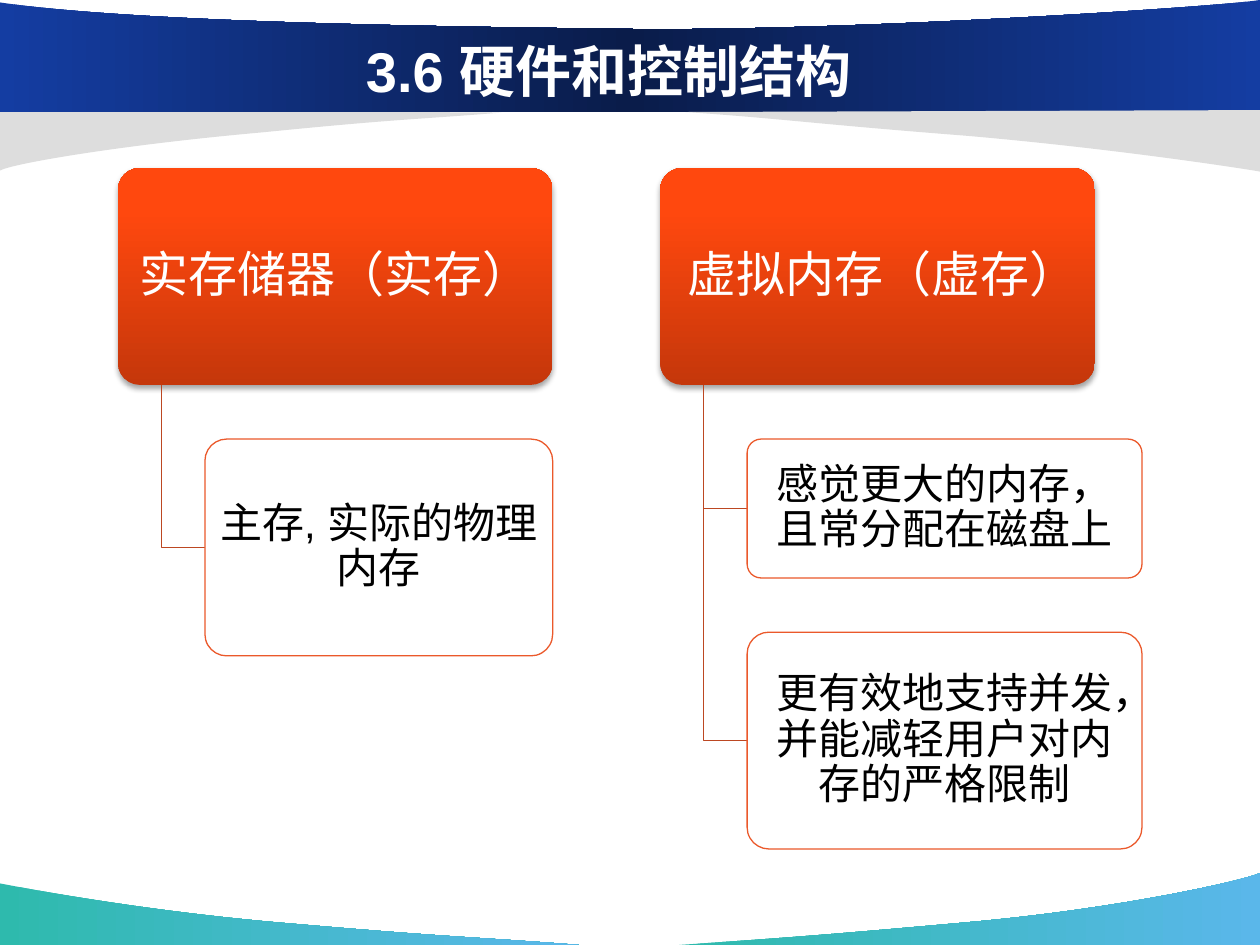
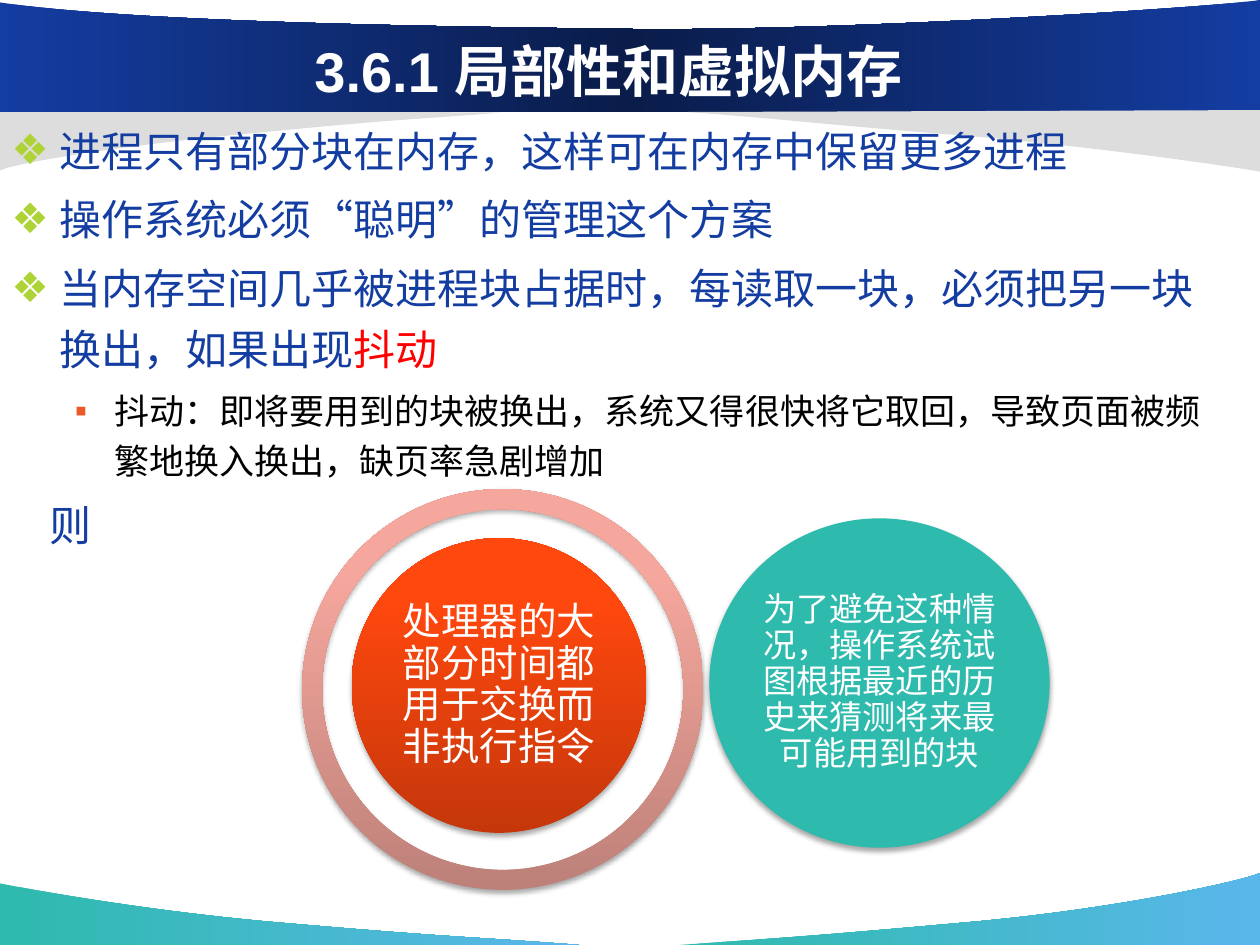
from lxml.etree import SubElement
from pptx import Presentation
from pptx.dml.color import RGBColor
from pptx.enum.shapes import MSO_SHAPE
from pptx.enum.text import MSO_ANCHOR, PP_ALIGN
from pptx.oxml.ns import qn
from pptx.util import Cm, Pt

WIDTH, HEIGHT = 25.4, 19.05
LATIN, CHINESE = "Arial", "Noto Sans CJK SC"
WHITE, BLACK, RED, GREY = "FFFFFF", "000000", "FF0000", "DDDDDD"
NAVY, TEAL, LIME, ORANGE, RUST = "143DA2", "2EBAAD", "AED337", "EB592B", "BC4722"
BANNER = [(0, NAVY), (50, "0A1C4A"), (100, NAVY)]
FOOTER = [(0, TEAL), (100, "5AB7EA")]
GLOSS = [(0, "C5370B"), (80, "FF480E"), (100, "FF4910")]
PALE_GLOSS = [(0, "BD8179"), (80, "F6A79D"), (100, "F9A79D")]

BANDS = [
    (FOOTER, [(11.68, 19.05), (9.75, 18.9), (9.09, 18.9), (5.89, 18.62),
              (2.69, 18.36), (0.03, 17.81), (0, 17.81)], [(0, HEIGHT)]),
    (FOOTER, [(13.69, 19.05), (15.6, 18.92), (16.41, 18.87), (19.53, 18.59),
              (22.66, 18.31), (25.15, 17.73), (WIDTH, 17.6)], [(WIDTH, HEIGHT)]),
    (GREY, [(10.11, 2.27), (8.41, 2.41), (8.08, 2.39), (5.28, 2.67),
            (2.46, 2.92), (0.23, 3.3), (0, 3.44)], [(0, 2.21)]),
    (BANNER, [(WIDTH, 0), (24.49, 0.15), (16.59, 0.66), (12.37, 0.58),
              (8.15, 0.53), (2.57, 0.43), (0, 0.05)], [(0, 2.26), (WIDTH, 2.26)]),
    (GREY, [(13.82, 2.26), (15.75, 2.39), (16.31, 2.49), (19.51, 2.74),
            (22.71, 3.02), (25.37, 3.45), (WIDTH, 3.46)], [(WIDTH, 2.22)]),
]

MEMORY_KINDS = [
    (2.38, "实存储器（实存）", 7.01, [("主存, 实际的物理内存", 4.37)]),
    (13.31, " 虚拟内存（虚存）", 7.96, [
        ("感觉更大的内存，且常分配在磁盘上", 2.8),
        ("更有效地支持并发，并能减轻用户对内存的严格限制", 4.37)]),
]

MAIN_POINT = {"size": 24, "color": NAVY, "bullet": ("❖", LIME), "indent": (0.97, -0.97)}
SUB_POINT = {"size": 20, "color": BLACK, "bullet": ("▪", ORANGE),
             "indent": (2.07, -0.79), "latin": CHINESE}
PLAIN_POINT = {"size": 24, "color": NAVY, "indent": (0.76, 0)}
LOCALITY_POINTS = [
    (MAIN_POINT, [("进程只有部分块在内存，这样可在内存中保留更多进程", NAVY)]),
    (MAIN_POINT, [("操作系统必须“聪明”的管理这个方案", NAVY)]),
    (MAIN_POINT, [("当内存空间几乎被进程块占据时，每读取一块，必须把另一块换出，如果出现", NAVY),
                  ("抖动", RED)]),
    (SUB_POINT, [("抖动：即将要用到的块被换出，系统又得很快将它取回，"
                  "导致页面被频繁地换入换出，缺页率急剧增加", BLACK)]),
    (PLAIN_POINT, [("则", NAVY)]),
]


def rgb(value):
    """Turn a hex string into a colour."""
    return RGBColor.from_string(value)


def set_all(target, values):
    """Set each attribute named in a dict of format values."""
    for name, value in values.items():
        setattr(target, name, value)


def place(left, top, width, height):
    """Return a frame given in centimetres as lengths."""
    return Cm(left), Cm(top), Cm(width), Cm(height)


def paint(shape, fill=None, angle=0, line=None):
    """Fill a shape with a colour or gradient stops and set its outline."""
    shape.shadow.inherit = False
    if isinstance(fill, str):
        shape.fill.solid()
        shape.fill.fore_color.rgb = rgb(fill)
    else:
        shape.fill.background()
    if isinstance(fill, list):
        properties = shape._element.spPr
        gradient = properties.makeelement(qn("a:gradFill"), {"rotWithShape": "1"})
        stops = SubElement(gradient, qn("a:gsLst"))
        for position, color in fill:
            stop = SubElement(stops, qn("a:gs"), pos=str(position * 1000))
            SubElement(stop, qn("a:srgbClr"), val=color)
        SubElement(gradient, qn("a:lin"), ang=str(angle * 60000), scaled="0")
        properties.replace(properties.find(qn("a:noFill")), gradient)
    if line:
        shape.line.color.rgb = rgb(line)
        shape.line.width = Pt(0.75)
    else:
        shape.line.fill.background()


def cast_shadow(shape):
    """Give a shape a soft shadow below it."""
    effects = shape._element.spPr.find(qn("a:effectLst"))
    shadow = SubElement(effects, qn("a:outerShdw"), blurRad=str(Pt(3.1)),
                        dist=str(Pt(1.8)), dir="5400000", rotWithShape="0")
    color = SubElement(shadow, qn("a:srgbClr"), val=BLACK)
    SubElement(color, qn("a:alpha"), val="35000")


def add_span(para, text, size, color, bold=False, latin=LATIN):
    """Add a run with its Latin and Chinese fonts."""
    span = para.add_run()
    span.text = text
    set_all(span.font, {"name": latin, "size": Pt(size), "bold": bold})
    span.font.color.rgb = rgb(color)
    properties = span._r.get_or_add_rPr()
    properties.set("lang", "zh-CN")
    properties.find(qn("a:latin")).addnext(
        properties.makeelement(qn("a:ea"), {"typeface": CHINESE}))


def set_frame(shape, anchor, side, end):
    """Wrap the text of a shape and set its anchor and margins."""
    set_all(shape.text_frame, {
        "word_wrap": True, "vertical_anchor": anchor,
        "margin_left": Cm(side), "margin_right": Cm(side),
        "margin_top": Cm(end), "margin_bottom": Cm(end)})
    return shape.text_frame


def add_label(shape, text, size, color, margin):
    """Write centred text in a shape."""
    para = set_frame(shape, MSO_ANCHOR.MIDDLE, margin, 0.08).paragraphs[0]
    set_all(para, {"alignment": PP_ALIGN.CENTER, "line_spacing": 0.9})
    add_span(para, text, size, color)


def add_outline(page, points, close):
    """Draw a freeform through points given in centimetres."""
    lengths = [(Cm(x), Cm(y)) for x, y in points]
    builder = page.shapes.build_freeform(*lengths[0])
    builder.add_line_segments(lengths[1:], close=close)
    return builder.convert_to_shape()


def add_band(page, fill, points, corners):
    """Draw a band edged by a chain of cubic curves and straight corners."""
    band = add_outline(page, points[::3] + corners, True)
    segments = list(band._element.iter(qn("a:lnTo")))
    for index, segment in enumerate(segments[:len(points) // 3]):
        segment.tag_name = None
        bend = segment.makeelement(qn("a:cubicBezTo"), {})
        for x, y in points[3 * index + 1:3 * index + 4]:
            SubElement(bend, qn("a:pt"), x=str(Cm(x) - band.left), y=str(Cm(y) - band.top))
        segment.getparent().replace(segment, bend)
    paint(band, fill)


def add_page(deck, title):
    """Add a page with its curved bands and title."""
    page = deck.slides.add_slide(deck.slide_layouts[6])
    for band in BANDS:
        add_band(page, *band)
    box = page.shapes.add_textbox(*place(2.33, 0.62, 19.89, 1.57))
    para = set_frame(box, MSO_ANCHOR.MIDDLE, 0.25, 0.13).paragraphs[0]
    para.alignment = PP_ALIGN.CENTER
    add_span(para, title, 32, WHITE, bold=True)
    return page


def add_card(page, frame, text, size, color, margin, fill, line=None):
    """Add a rounded card with a label."""
    card = page.shapes.add_shape(MSO_SHAPE.ROUNDED_RECTANGLE, *place(*frame))
    card.adjustments[0] = 0.1
    paint(card, fill, 270, line)
    add_label(card, text, size, color, margin)
    return card


def add_branch(page, left, heading, detail_width, details):
    """Add a heading card with its detail cards hanging below."""
    width, height, top = 8.76, 4.37, 3.39
    gap, stem, bottom = height / 4, left + width / 10, top + height
    detail_left, detail_top = left + width / 5, bottom + gap
    cast_shadow(add_card(page, (left, top, width, height), heading, 28, WHITE, 0.15, GLOSS))
    for text, detail_height in details:
        middle = detail_top + detail_height / 2
        link = add_outline(page, [(stem, bottom), (stem, middle), (detail_left, middle)], False)
        paint(link, line=RUST)
        add_card(page, (detail_left, detail_top, detail_width, detail_height),
                 text, 24, BLACK, 0.13, WHITE, ORANGE)
        detail_top += detail_height + gap


def add_points(page, points):
    """Add the bulleted text of a page."""
    box = page.shapes.add_textbox(*place(0, 2.19, 24.89, 7.92))
    frame = set_frame(box, MSO_ANCHOR.TOP, 0.23, 0.13)
    for index, (style, spans) in enumerate(points):
        para = frame.add_paragraph() if index else frame.paragraphs[0]
        para.line_spacing = 1.2
        if index:
            para.space_before = Pt(style["size"] * 0.2)
        properties = para._p.get_or_add_pPr()
        for name, length in zip(("marL", "indent"), style["indent"]):
            properties.set(name, str(Cm(length)))
        if "bullet" in style:
            symbol, color = style["bullet"]
            SubElement(SubElement(properties, qn("a:buClr")), qn("a:srgbClr"), val=color)
            SubElement(properties, qn("a:buFont"), typeface=LATIN)
            SubElement(properties, qn("a:buChar"), char=symbol)
        for text, color in spans:
            add_span(para, text, style["size"], color, latin=style.get("latin", LATIN))


def add_disc(page, kind, frame, fill):
    """Add a round shape with a shadow."""
    disc = page.shapes.add_shape(kind, *place(*frame))
    paint(disc, fill, 270)
    cast_shadow(disc)
    return disc


def main():
    """Build and save the deck."""
    deck = Presentation()
    set_all(deck, {"slide_width": Cm(WIDTH), "slide_height": Cm(HEIGHT)})

    page = add_page(deck, "3.6 硬件和控制结构")
    for branch in MEMORY_KINDS:
        add_branch(page, *branch)

    page = add_page(deck, "3.6.1 局部性和虚拟内存")
    add_points(page, LOCALITY_POINTS)
    ring = add_disc(page, MSO_SHAPE.DONUT, (6.09, 9.86, 8.09, 8.08), PALE_GLOSS)
    ring.adjustments[0] = 0.05
    problem = add_disc(page, MSO_SHAPE.OVAL, (7.09, 10.85, 5.94, 5.94), GLOSS)
    add_label(problem, "处理器的大部分时间都用于交换而非执行指令", 22, WHITE, 0.08)
    remedy = add_disc(page, MSO_SHAPE.OVAL, (14.3, 10.45, 6.86, 6.64), TEAL)
    add_label(remedy, "为了避免这种情况，操作系统试图根据最近的历史来猜测将来最可能用到的块",
              19, WHITE, 0.08)

    deck.save("out.pptx")


if __name__ == "__main__":
    main()
